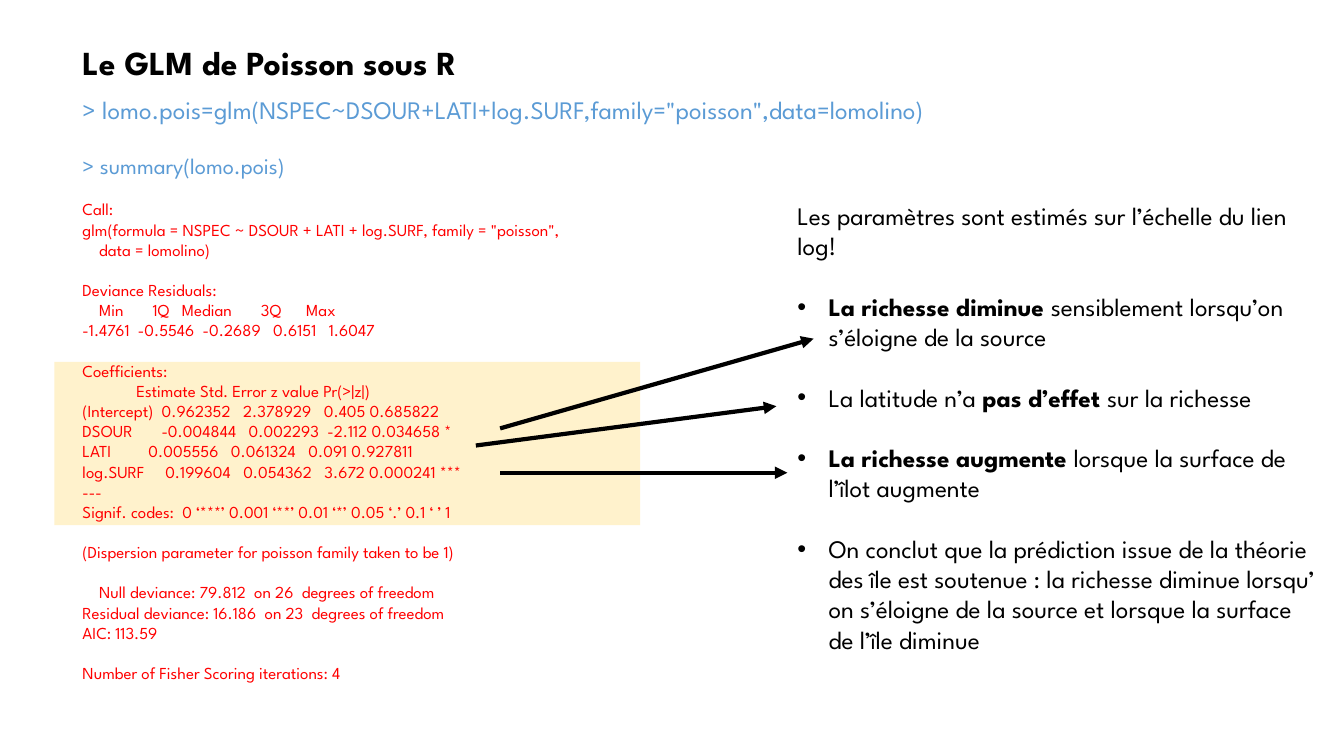
from pptx import Presentation
from pptx.dml.color import RGBColor
from pptx.enum.shapes import MSO_CONNECTOR as Connector, MSO_SHAPE as Shape
from pptx.util import Inches, Pt
from pptx.oxml.ns import qn
from lxml.etree import SubElement

BLACK = RGBColor(0, 0, 0)
RED = RGBColor(0xFF, 0, 0)
BLUE = RGBColor(0x5B, 0x9B, 0xD5)
CREAM = RGBColor(0xFF, 0xF2, 0xCC)
FONT = "League Spartan"
LINE_PITCH = 1.2  # height of one text line, as a share of the font size

# Content
TITLE = "Le GLM de Poisson sous R"
MODEL_CALL = '> lomo.pois=glm(NSPEC~DSOUR+LATI+log.SURF,family="poisson",data=lomolino)'
SUMMARY_CALL = "> summary(lomo.pois)"
OUTPUT_BLOCKS = [
    ["Call:",
     'glm(formula = NSPEC ~ DSOUR + LATI + log.SURF, family = "poisson",',
     "    data = lomolino)"],
    ["Deviance Residuals:",
     "    Min       1Q   Median       3Q      Max",
     "-1.4761  -0.5546  -0.2689   0.6151   1.6047"],
    ["Coefficients:",
     "             Estimate Std. Error z value Pr(>|z|)",
     "(Intercept)  0.962352   2.378929   0.405 0.685822",
     "DSOUR       -0.004844   0.002293  -2.112 0.034658 *",
     "LATI         0.005556   0.061324   0.091 0.927811",
     "log.SURF     0.199604   0.054362   3.672 0.000241 ***",
     "---",
     "Signif. codes:  0 ‘***’ 0.001 ‘**’ 0.01 ‘*’ 0.05 ‘.’ 0.1 ‘ ’ 1"],
    ["(Dispersion parameter for poisson family taken to be 1)"],
    ["    Null deviance: 79.812  on 26  degrees of freedom",
     "Residual deviance: 16.186  on 23  degrees of freedom",
     "AIC: 113.59"],
    ["Number of Fisher Scoring iterations: 4"],
]
INTRO = "Les paramètres sont estimés sur l’échelle du lien log!"
# Each finding is a list of (wording, bold)
FINDINGS = [
    [("La richesse diminue ", True),
     ("sensiblement lorsqu’on s’éloigne de la source", False)],
    [("La latitude n’a ", False), ("pas d’effet ", True),
     ("sur la richesse", False)],
    [("La richesse augmente ", True),
     ("lorsque la surface de l’îlot augmente", False)],
    [("On conclut que la prédiction issue de la théorie des île est soutenue : "
      "la richesse diminue lorsqu’ on s’éloigne de la source et lorsque la "
      "surface de l’île diminue", False)],
]
# From a coefficient to its finding: x, y, x, y
ARROWS = [
    (4.96, 4.25, 8.07, 3.36),
    (4.72, 4.42, 7.7, 4.03),
    (4.96, 4.69, 7.81, 4.69),
]

# Layout, in inches
LEFT = 0.72
HIGHLIGHT_BOX = (0.54, 3.59, 5.81, 1.62)
TITLE_BOX = (LEFT, 0.37, 12.24, 0.5)
MODEL_BOX = (LEFT, 0.89, 10.36, 0.4)
SUMMARY_BOX = (LEFT, 1.46, 6.67, 5.42)
FINDINGS_BOX = (7.81, 1.94, 5.35, 4.95)
BULLET_INDENT = 0.31


def add_text_box(slide, box):
    frame = slide.shapes.add_textbox(*map(Inches, box)).text_frame
    frame.word_wrap = True
    return frame


def add_line(frame, runs, size, color, gap=False, bullet=False):
    """Add a paragraph; gap leaves one line free above it."""
    line = frame.paragraphs[0]
    if line.runs:
        line = frame.add_paragraph()
    if bullet:
        props = line._p.get_or_add_pPr()
        props.set("marL", str(Inches(BULLET_INDENT)))
        props.set("indent", str(-Inches(BULLET_INDENT)))
        SubElement(props, qn("a:buFont"), typeface="Arial")
        SubElement(props, qn("a:buChar"), char="•")
    if gap:
        line.space_before = Pt(size * LINE_PITCH)
    line.font.name, line.font.size = FONT, Pt(size)
    line.font.color.rgb = color
    for wording, bold in runs:
        run = line.add_run()
        run.text = wording
        if bold:
            run.font.bold = True


def add_arrow(slide, ends):
    arrow = slide.shapes.add_connector(Connector.STRAIGHT, *map(Inches, ends))
    arrow.line.color.rgb = BLACK
    arrow.line.width = Pt(3)
    SubElement(arrow.line._get_or_add_ln(), qn("a:tailEnd"), type="triangle")
    SubElement(arrow._element.spPr, qn("a:effectLst"))


def main():
    deck = Presentation()
    deck.slide_width, deck.slide_height = Inches(13.33), Inches(7.5)
    slide = deck.slides.add_slide(deck.slide_layouts[6])

    # Highlight behind the coefficients
    highlight = slide.shapes.add_shape(Shape.RECTANGLE, *map(Inches, HIGHLIGHT_BOX))
    highlight.shadow.inherit = False
    highlight.fill.solid()
    highlight.fill.fore_color.rgb = CREAM
    highlight.line.fill.background()

    # Title and model call
    add_line(add_text_box(slide, TITLE_BOX), [(TITLE, True)], 24, BLACK)
    add_line(add_text_box(slide, MODEL_BOX), [(MODEL_CALL, False)], 18, BLUE)

    # Summary printed by R
    summary = add_text_box(slide, SUMMARY_BOX)
    add_line(summary, [(SUMMARY_CALL, False)], 16, BLUE)
    for block in OUTPUT_BLOCKS:
        for row, wording in enumerate(block):
            add_line(summary, [(wording, False)], 12, RED, gap=row == 0)

    # Findings
    findings = add_text_box(slide, FINDINGS_BOX)
    add_line(findings, [(INTRO, False)], 18, BLACK)
    for finding in FINDINGS:
        add_line(findings, finding, 18, BLACK, gap=True, bullet=True)

    # Arrows from coefficients to findings
    for ends in ARROWS:
        add_arrow(slide, ends)

    deck.save("out.pptx")


if __name__ == "__main__":
    main()
